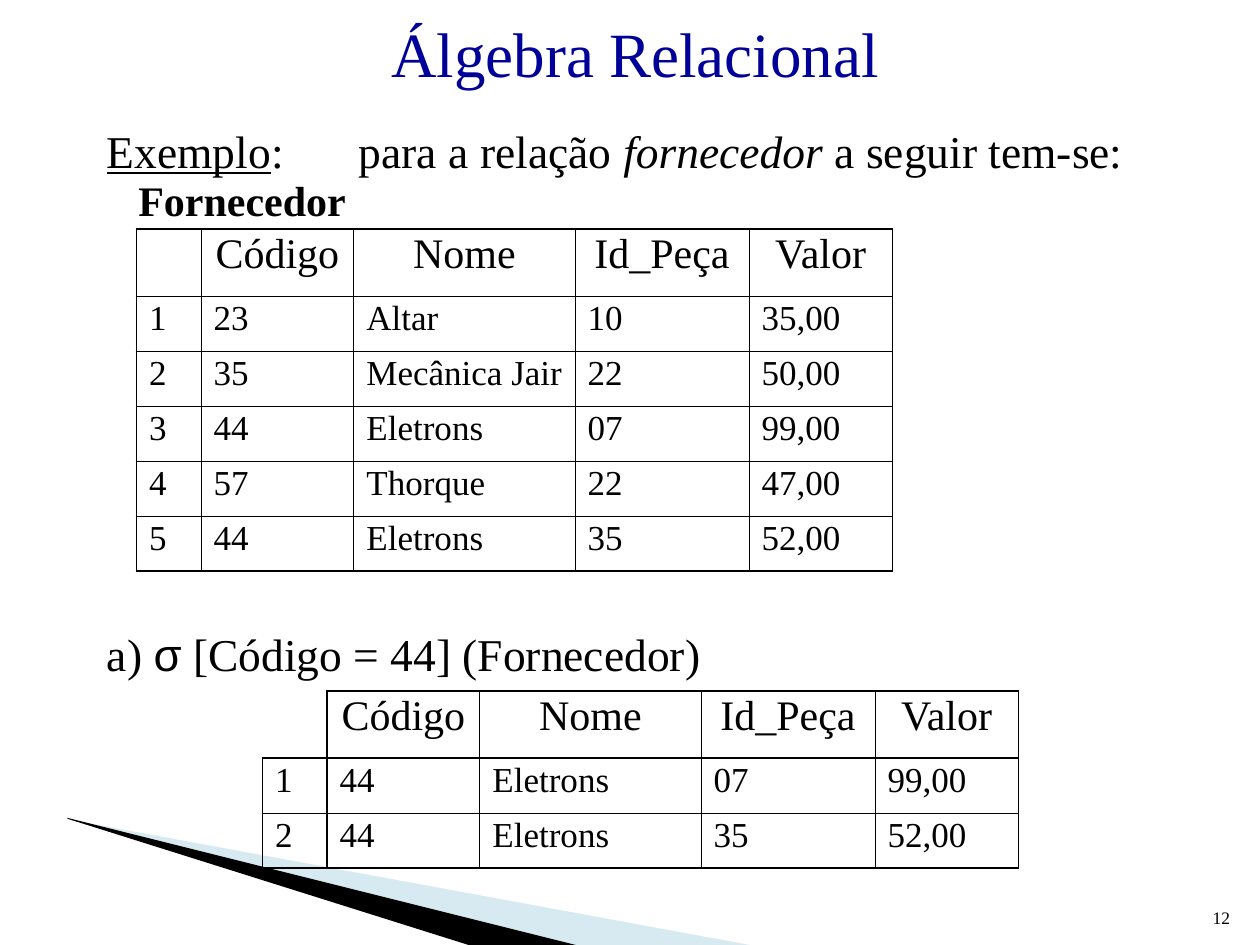
from lxml import etree
from pptx import Presentation
from pptx.dml.color import RGBColor
from pptx.enum.text import MSO_ANCHOR, MSO_AUTO_SIZE, PP_ALIGN
from pptx.oxml.ns import qn
from pptx.util import Pt

LEFT, CENTER, RIGHT, JUSTIFY = PP_ALIGN.LEFT, PP_ALIGN.CENTER, PP_ALIGN.RIGHT, PP_ALIGN.JUSTIFY
TOP, MIDDLE, BOTTOM = MSO_ANCHOR.TOP, MSO_ANCHOR.MIDDLE, MSO_ANCHOR.BOTTOM
NO_AUTOFIT = MSO_AUTO_SIZE.NONE
COLORS = {"text": "000000", "title": "000099", "wedge": "9FCBDC", "border": "000000"}
FONT = "Times New Roman"
THIN, THICK = 0.45, 1.08


def add_run(p, text, size, color="text", font=FONT):
    r = p.add_run()
    r.text = text
    r.font.size = Pt(size)
    r.font.name = font
    r.font.color.rgb = RGBColor.from_string(COLORS[color])
    return r


def set_borders(cell, widths):
    """Draw the left, right, top and bottom borders; a width of 0 hides one."""
    tcPr = cell._tc.get_or_add_tcPr()
    for i, (side, width) in enumerate(zip("LRTB", widths)):
        ln = etree.Element(qn(f"a:ln{side}"), w=str(Pt(width)))
        if width:
            fill = etree.SubElement(ln, qn("a:solidFill"))
            etree.SubElement(fill, qn("a:srgbClr"), val=COLORS["border"])
        else:
            etree.SubElement(ln, qn("a:noFill"))
        tcPr.insert(i, ln)


prs = Presentation()
prs.slide_width, prs.slide_height = Pt(720), Pt(540)
s = prs.slides.add_slide(prs.slide_layouts[5])

# Corner wedges
wedges = [
    ("wedge", 40, [(39.6, 468.4), (428.4, 540), (328.3, 540), (39.6, 468)]),
    ("text", 100, [(38.2, 467.3), (329, 540), (267.8, 540), (38.9, 468)]),
]
for color, opacity, points in wedges:
    (x, y), *rest = [(Pt(px), Pt(py)) for px, py in points]
    builder = s.shapes.build_freeform(x, y)
    builder.add_line_segments(rest)
    sp = builder.convert_to_shape()
    sp.shadow.inherit = False
    sp.fill.solid()
    sp.fill.fore_color.rgb = RGBColor.from_string(COLORS[color])
    sp.line.fill.background()
    if opacity < 100:
        srgb = sp._element.spPr.find(".//" + qn("a:srgbClr"))
        etree.SubElement(srgb, qn("a:alpha"), val=str(opacity * 1000))

# Title
title = s.shapes.title
title.left, title.top, title.width, title.height = Pt(48), Pt(12), Pt(630), Pt(36)
tf = title.text_frame
tf.auto_size = NO_AUTOFIT
tf.vertical_anchor = MIDDLE
p = tf.paragraphs[0]
p.alignment = CENTER
add_run(p, "Álgebra Relacional", 36, "title")

# Text boxes: left, top, width, height, top inset, wrap, anchor, alignment, size, runs
boxes = [
    (681, 504.7, 29, 29, 3.6, True, BOTTOM, RIGHT, 10, [("12", "")]),
    (72, 96, 133, 36, 3.6, False, TOP, LEFT, 24, [("Fornecedor", "bold")]),
    (54, 60, 624, 54, 10, True, TOP, JUSTIFY, 26,
     [("Exemplo", "underline"), (":\tpara a relação ", ""),
      ("fornecedor", "italic"), (" a seguir tem-se:", "")]),
    (54, 348, 624, 42, 10, True, TOP, JUSTIFY, 26,
     [("a) ", ""), ("σ", "symbol"), (" [Código = 44] (Fornecedor)", "")]),
]
for left, top, width, height, inset, wrap, anchor, align, size, runs in boxes:
    sp = s.shapes.add_textbox(Pt(left), Pt(top), Pt(width), Pt(height))
    tf = sp.text_frame
    tf.word_wrap = wrap
    tf.margin_top = Pt(inset)
    tf.vertical_anchor = anchor
    p = tf.paragraphs[0]
    if any("\t" in text for text, style in runs):
        tabs = etree.SubElement(p._p.get_or_add_pPr(), qn("a:tabLst"))
        etree.SubElement(tabs, qn("a:tab"), pos=str(Pt(144)), algn="l")
    p.alignment = align
    for text, style in runs:
        r = add_run(p, text, size, font="Arial" if style == "symbol" else FONT)
        if style in ("bold", "italic", "underline"):
            setattr(r.font, style, True)

# Tables: left, top, thick horizontal lines, thick vertical lines, open corner, rows
HEADER = ["", "Código", "Nome", "Id_Peça", "Valor"]
COL_WIDTHS = [36.8, 87.4, 126.4, 99.4, 82]
HEADER_HEIGHT, ROW_HEIGHT = 38.3, 31.4
suppliers = [
    ["1", "23", "Altar", "10", "35,00"],
    ["2", "35", "Mecânica Jair", "22", "50,00"],
    ["3", "44", "Eletrons", "07", "99,00"],
    ["4", "57", "Thorque", "22", "47,00"],
    ["5", "44", "Eletrons", "35", "52,00"],
]
selection = [
    ["1", "44", "Eletrons", "07", "99,00"],
    ["2", "44", "Eletrons", "35", "52,00"],
]
tables = [
    (78, 131, {0, 6}, {0, 5}, False, suppliers),
    (150, 395, {0, 1, 3}, {0, 1, 5}, True, selection),
]
for left, top, thick_h, thick_v, open_corner, body in tables:
    rows = [HEADER] + body
    height = HEADER_HEIGHT + ROW_HEIGHT * len(body)
    table = s.shapes.add_table(len(rows), len(HEADER), Pt(left), Pt(top),
                               Pt(sum(COL_WIDTHS)), Pt(height)).table
    table.first_row = table.horz_banding = False
    for column, width in zip(table.columns, COL_WIDTHS):
        column.width = Pt(width)
    for i, values in enumerate(rows):
        table.rows[i].height = Pt(ROW_HEIGHT if i else HEADER_HEIGHT)
        for j, value in enumerate(values):
            cell = table.cell(i, j)
            cell.fill.background()
            widths = [THICK if j in thick_v else THIN, THICK if j + 1 in thick_v else THIN,
                      THICK if i in thick_h else THIN, THICK if i + 1 in thick_h else THIN]
            if open_corner and i == j == 0:
                widths[0] = widths[2] = 0
            set_borders(cell, widths)
            if value:
                p = cell.text_frame.paragraphs[0]
                p.alignment = JUSTIFY if i else CENTER
                p.line_spacing = 0.9
                add_run(p, value, 20 if i else 24)

prs.save("out.pptx")
